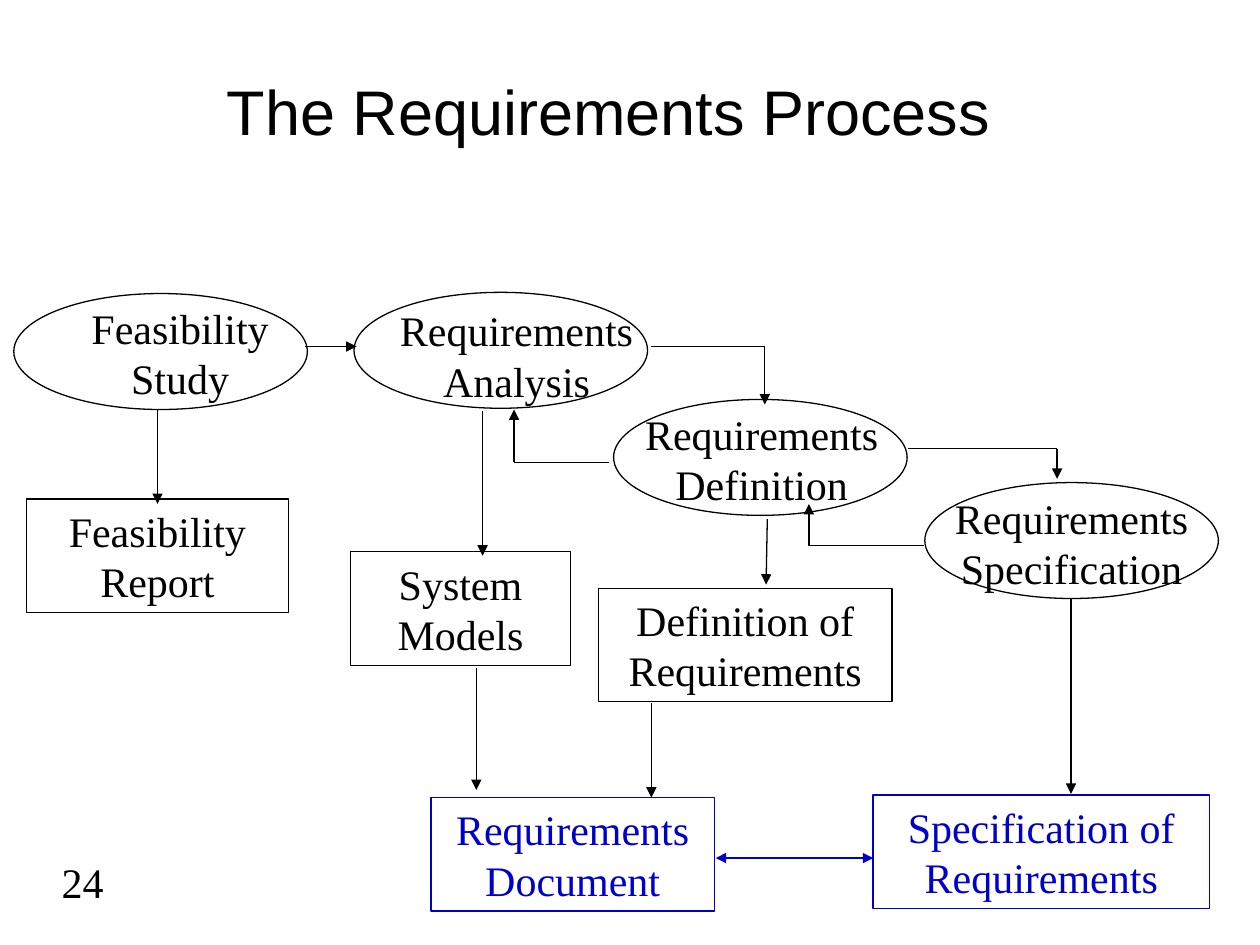
from dataclasses import dataclass

from lxml import etree
from pptx import Presentation
from pptx import util as u
from pptx.dml.color import RGBColor
from pptx.enum import shapes, text
from pptx.oxml.ns import qn

SCALE = 9144


@dataclass(frozen=True)
class Theme:
    ink: RGBColor = RGBColor(0, 0, 0)
    accent: RGBColor = RGBColor(0, 0, 0xCC)
    title_font: str = "Arial"
    body_font: str = "Times New Roman"
    title_size: int = 36
    body_size: int = 24
    leading: float = 28.8
    line_width: float = 0.75


THEME = Theme()


def px(*lengths):
    return [u.Emu(length * SCALE) for length in lengths]


def write(shape, lines, color=THEME.ink, font=THEME.body_font, size=THEME.body_size,
          align=text.PP_ALIGN.CENTER, anchor=text.MSO_ANCHOR.TOP, leading=None):
    frame = shape.text_frame
    frame.word_wrap = True
    frame.vertical_anchor = anchor
    frame.text = lines
    for para in frame.paragraphs:
        para.alignment = align
        if leading:
            para.line_spacing = u.Pt(leading)
        for span in para.runs:
            span.font.name = font
            span.font.size = u.Pt(size)
            span.font.color.rgb = color


def outline(container, kind, box, color=THEME.ink):
    shape = container.shapes.add_shape(kind, *px(*box))
    shape.shadow.inherit = False
    shape.fill.background()
    shape.line.color.rgb = color
    shape.line.width = u.Pt(THEME.line_width)
    return shape


def add_title(page, box, words):
    write(page.shapes.add_textbox(*px(*box)), words, font=THEME.title_font,
          size=THEME.title_size, anchor=text.MSO_ANCHOR.MIDDLE)


def add_page_number(page, box, number):
    write(page.shapes.add_textbox(*px(*box)), number, align=text.PP_ALIGN.RIGHT)


def add_activity(page, box, label_shift, label_width, lines):
    left, top, width, height = box
    shift_x, shift_y = label_shift
    group = page.shapes.add_group_shape()
    outline(group, shapes.MSO_SHAPE.OVAL, box)
    label_box = (left + shift_x, top + shift_y, label_width, 90)
    write(group.shapes.add_textbox(*px(*label_box)), lines, leading=THEME.leading)


def add_document(page, box, lines, color):
    shape = outline(page, shapes.MSO_SHAPE.RECTANGLE, box, color)
    write(shape, lines, color, leading=THEME.leading)


def add_line(page, start, end, ends=(), color=THEME.ink):
    line = page.shapes.add_connector(shapes.MSO_CONNECTOR.STRAIGHT, *px(*start, *end))
    line.line.color.rgb = color
    line.line.width = u.Pt(THEME.line_width)
    properties = line.line._get_or_add_ln()
    for name in ends:
        etree.SubElement(properties, qn(f"a:{name}"), type="triangle")
    etree.SubElement(line._element.spPr, qn("a:effectLst"))


def add_route(page, *points):
    legs = list(zip(points, points[1:]))
    for start, end in legs[:-1]:
        add_line(page, start, end)
    add_line(page, *legs[-1], ends=("tailEnd",))


def add_process(page):
    activities = [
        ((11, 233), (-18, 2), 300, "Feasibility\nStudy"),
        ((281, 232), (-75, 5), 408, "Requirements\nAnalysis"),
        ((487, 317), (-20, 2), 275, "Requirements\nDefinition"),
        ((734, 383), (-17, 3), 267, "Requirements\nSpecification"),
    ]
    for corner, shift, label_width, lines in activities:
        add_activity(page, (*corner, 233, 92), shift, label_width, lines)

    documents = [
        ((21, 396, 208, 90), "Feasibility\nReport", THEME.ink),
        ((278, 438, 175, 90), "System\nModels", THEME.ink),
        ((475, 467, 233, 90), "Definition of\nRequirements", THEME.ink),
        ((693, 631, 267, 90), "Specification of\nRequirements", THEME.accent),
        ((342, 633, 225, 90), "Requirements\nDocument", THEME.accent),
    ]
    for box, lines, color in documents:
        add_document(page, box, lines, color)

    routes = [
        [(125, 325), (125, 400)],
        [(850, 475), (850, 630)],
        [(609, 412), (608, 464)],
        [(383, 326), (383, 441)],
        [(242, 275), (283, 275)],
        [(721, 356), (839, 356), (839, 380)],
        [(517, 275), (607, 275), (607, 321)],
        [(733, 433), (642, 433), (642, 400)],
        [(483, 367), (408, 367), (408, 325)],
        [(378, 530), (378, 627)],
        [(517, 558), (517, 633)],
    ]
    for points in routes:
        add_route(page, *points)
    add_line(page, (693, 681), (568, 681), ("headEnd", "tailEnd"), THEME.accent)


def main():
    deck = Presentation()
    deck.slide_width, deck.slide_height = px(1000, 750)
    page = deck.slides.add_slide(deck.slide_layouts[6])
    add_title(page, (58, 25, 850, 125), "The Requirements Process")
    add_process(page)
    add_page_number(page, (17, 675, 75, 50), "24")
    deck.save("out.pptx")


if __name__ == "__main__":
    main()
